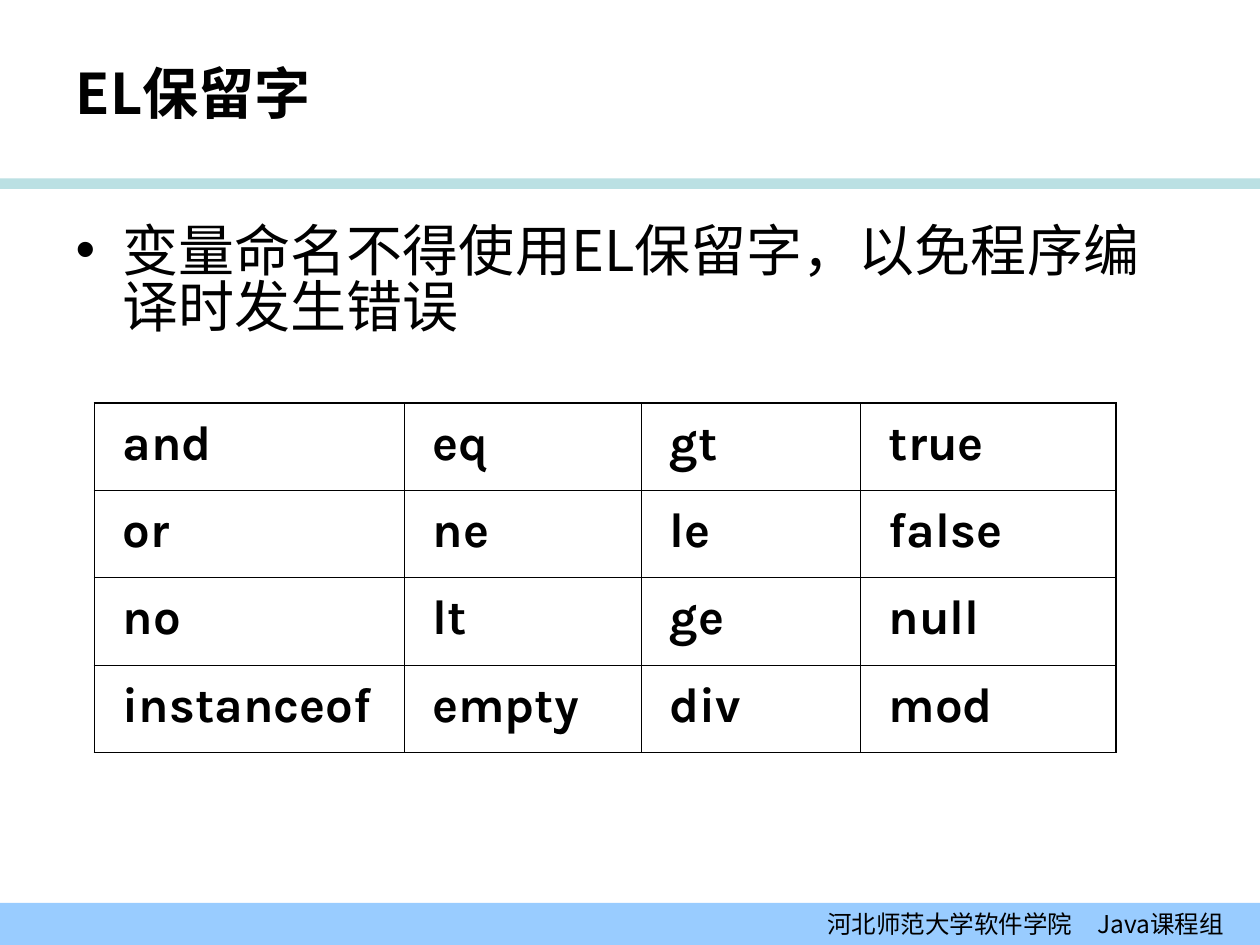
from lxml import etree
from pptx import Presentation
from pptx.dml.color import RGBColor
from pptx.enum.shapes import MSO_SHAPE
from pptx.enum.text import MSO_ANCHOR, MSO_AUTO_SIZE, PP_ALIGN
from pptx.oxml.ns import qn
from pptx.util import Pt

RECT = MSO_SHAPE.RECTANGLE
MIDDLE = MSO_ANCHOR.MIDDLE
NO_FIT = MSO_AUTO_SIZE.NONE
LEFT, RIGHT = PP_ALIGN.LEFT, PP_ALIGN.RIGHT

WORDS = [
    ["and", "eq", "gt", "true"],
    ["or", "ne", "le", "false"],
    ["no", "lt", "ge", "null"],
    ["instanceof", "empty", "div", "mod"],
]


def color(code):
    return RGBColor.from_string(code)


def style(target, values):
    for name, value in values.items():
        setattr(target, name, value)


class Deck:
    INK = "000000"
    HAN = "Noto Sans CJK SC"
    CODE = "Karla"
    THIN, THICK = 0.45, 1.08

    def __init__(self, width, height):
        self.file = Presentation()
        style(self.file, {"slide_width": Pt(width), "slide_height": Pt(height)})
        self.slide = self.file.slides.add_slide(self.file.slide_layouts[1])

    def text(self, frame, words, face, size, bold=False, **form):
        para = frame.paragraphs[0]
        style(para, form)
        run = para.add_run()
        run.text = words
        run.font.color.rgb = color(self.INK)
        style(run.font, {"name": face, "size": Pt(size), "bold": bold})
        etree.SubElement(run.font._element, qn("a:ea"), typeface=face)
        return para

    def band(self, top, height, fill):
        bar = self.slide.shapes.add_shape(
            RECT, 0, Pt(top), self.file.slide_width, Pt(height))
        bar.shadow.inherit = False
        bar.fill.solid()
        bar.fill.fore_color.rgb = color(fill)
        bar.line.fill.background()
        return bar

    def footer(self, words, top, height, fill):
        frame = self.band(top, height, fill).text_frame
        style(frame, {"word_wrap": False, "vertical_anchor": MIDDLE,
                      "margin_right": Pt(20.5)})
        self.text(frame, words, self.HAN, 14, alignment=RIGHT)

    def holder(self, index, box):
        shape = self.slide.placeholders[index]
        style(shape, dict(zip(("left", "top", "width", "height"), map(Pt, box))))
        shape.text_frame.auto_size = NO_FIT
        return shape.text_frame

    def title(self, words, box):
        frame = self.holder(0, box)
        frame.vertical_anchor = MIDDLE
        self.text(frame, words, self.HAN, 32, True, alignment=LEFT)

    def bullet(self, words, box):
        para = self.text(self.holder(1, box), words, self.HAN, 32,
                         space_before=Pt(3), line_spacing=0.83)
        props = para._p.get_or_add_pPr()
        props.set("marL", str(Pt(27)))
        props.set("indent", str(-Pt(27)))
        etree.SubElement(props, qn("a:buChar"), char="•")

    def border(self, cell, widths):
        """Draw the left, right, top and bottom lines of a cell."""
        props = cell._tc.get_or_add_tcPr()
        for place, (side, width) in enumerate(zip("LRTB", widths)):
            line = etree.Element(qn("a:ln" + side), w=str(Pt(width)))
            fill = etree.SubElement(line, qn("a:solidFill"))
            etree.SubElement(fill, qn("a:srgbClr"), val=self.INK)
            props.insert(place, line)

    def table(self, rows, left, top, widths, height):
        count, span = len(rows), len(widths)
        grid = self.slide.shapes.add_table(
            count, span, Pt(left), Pt(top), Pt(sum(widths)),
            Pt(height * count)).table
        style(grid, {"first_row": False, "horz_banding": False})
        for col, width in zip(grid.columns, widths):
            col.width = Pt(width)
        for r, row in enumerate(rows):
            grid.rows[r].height = Pt(height)
            for c, word in enumerate(row):
                cell = grid.cell(r, c)
                cell.fill.background()
                para = self.text(cell.text_frame, word, self.CODE, 28, True,
                                 line_spacing=1.1, space_before=Pt(3.5))
                para._p.get_or_add_pPr().set("marL", str(Pt(9)))
                edges = (c == 0, c == span - 1, r == 0, r == count - 1)
                self.border(cell, [self.THICK if edge else self.THIN
                                   for edge in edges])


def main():
    deck = Deck(720, 540)
    deck.band(102, 6, "BBE0E3")
    deck.footer("河北师范大学软件学院　Java课程组", 516, 24, "99CCFF")
    deck.title("EL保留字", (36, 21.6, 576, 62.6))
    deck.bullet("变量命名不得使用EL保留字，以免程序编译时发生错误",
                (36, 126, 648, 356.4))
    deck.table(WORDS, 54, 230.4, (177, 135.5, 125.2, 146), 49.9)
    deck.file.save("out.pptx")


if __name__ == "__main__":
    main()
